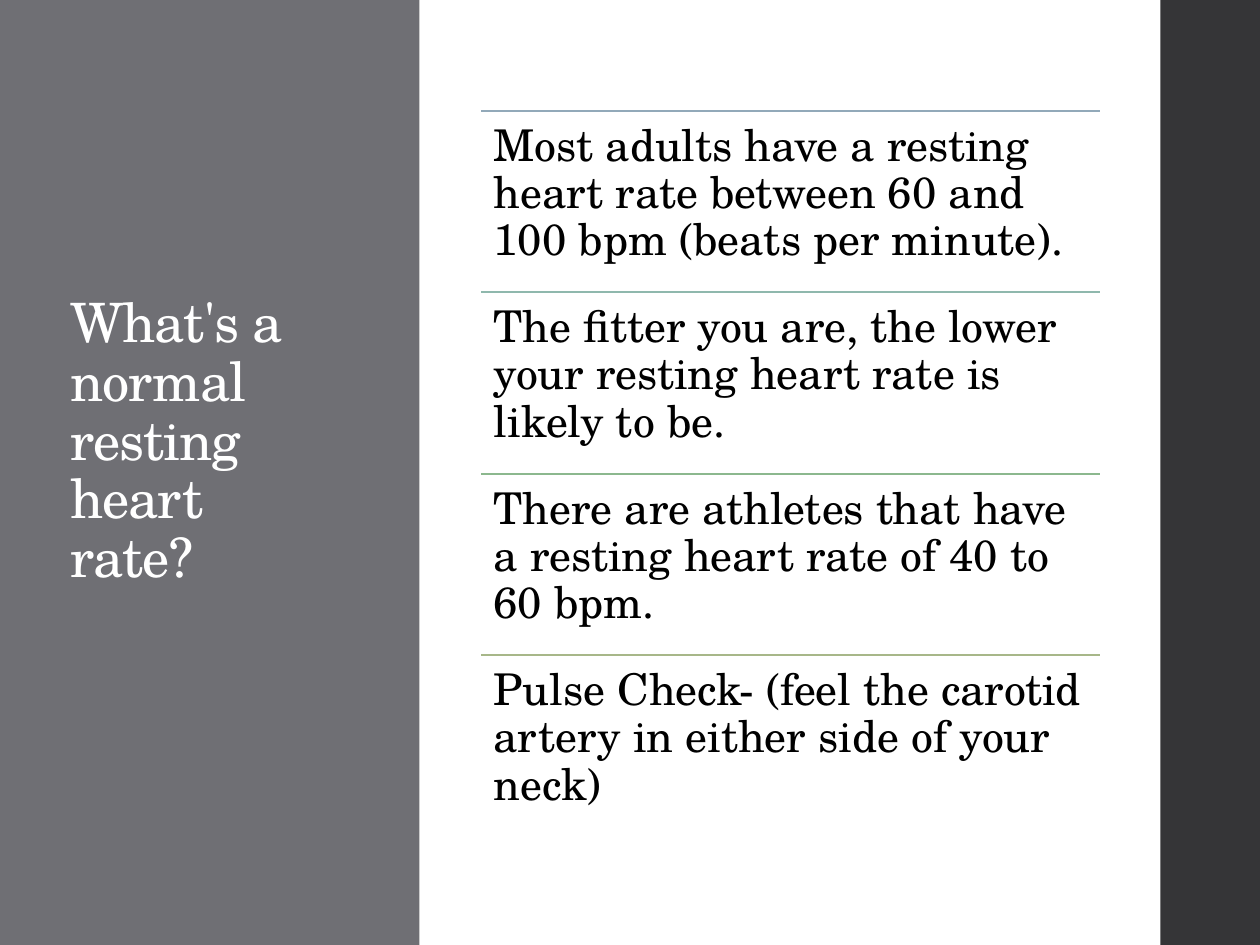
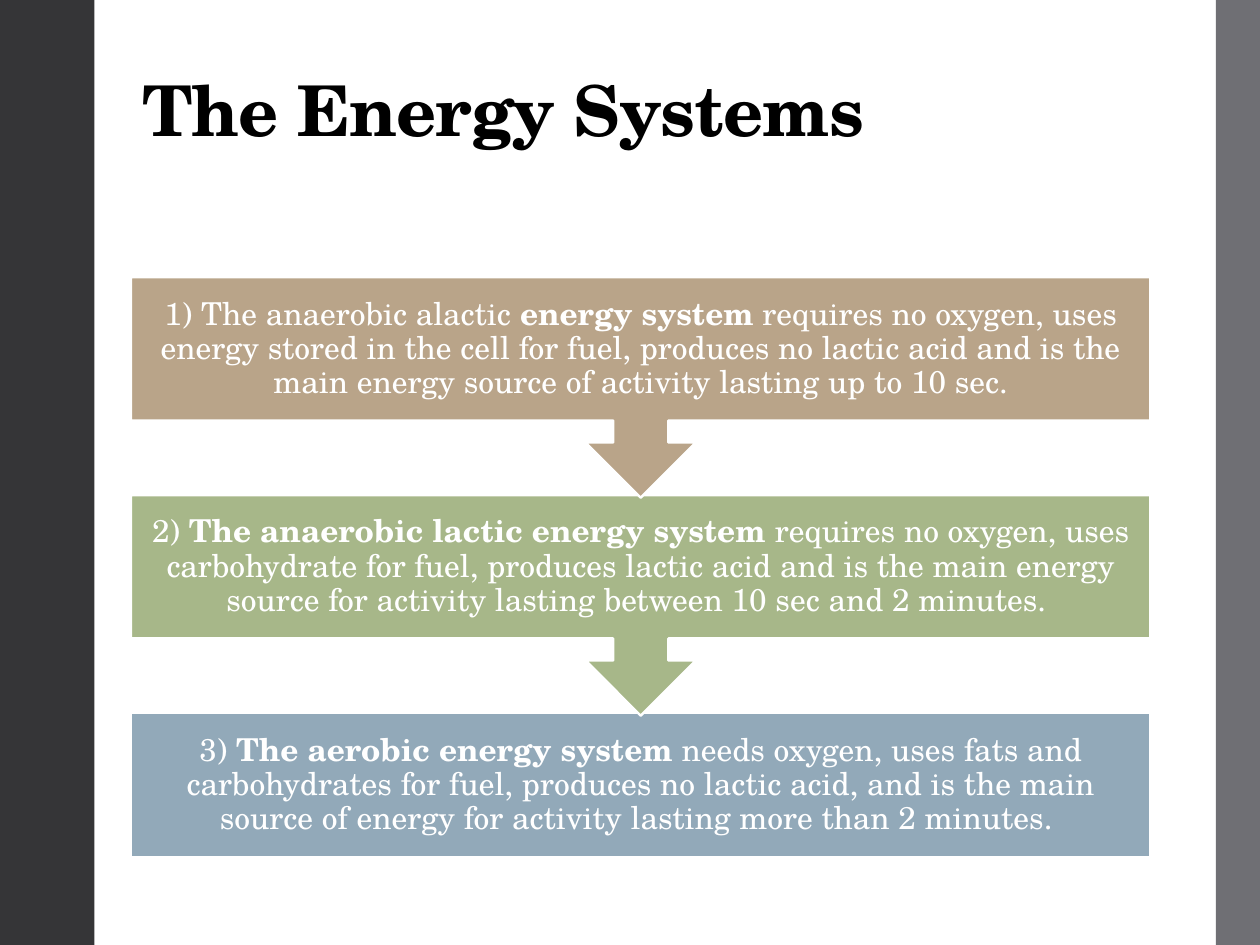
from dataclasses import dataclass

from lxml import etree
from pptx import Presentation
from pptx.dml.color import RGBColor
from pptx.enum.shapes import MSO_CONNECTOR, MSO_SHAPE
from pptx.enum.text import MSO_ANCHOR, PP_ALIGN
from pptx.oxml.ns import qn
from pptx.util import Inches, Pt

RECTANGLE = MSO_SHAPE.RECTANGLE
ARROW_BOX = MSO_SHAPE.DOWN_ARROW_CALLOUT
STRAIGHT = MSO_CONNECTOR.STRAIGHT
TOP, MIDDLE, BOTTOM = MSO_ANCHOR.TOP, MSO_ANCHOR.MIDDLE, MSO_ANCHOR.BOTTOM
LEFT, CENTER = PP_ALIGN.LEFT, PP_ALIGN.CENTER


@dataclass(frozen=True)
class Theme:
    font: str = "TeX Gyre Schola"
    dark: str = "353537"
    grey: str = "6F6F74"
    white: str = "FFFFFF"
    black: str = "000000"
    blue: str = "92A9B9"
    teal: str = "8FB8AD"
    green: str = "8CB88E"
    olive: str = "A7B789"
    tan: str = "B9A489"
    side_title_size: float = 31
    title_size: float = 40
    fact_size: float = 25
    step_size: float = 18
    rule_width: float = 1.1
    outline_width: float = 1.35
    line_spacing: float = 0.9
    title_tracking: int = -50  # hundredths of a point


class Deck:
    """Holds the theme and the slide being filled."""

    def __init__(self, theme):
        self.theme = theme
        self.prs = Presentation()
        self.prs.slide_width, self.prs.slide_height = Inches(10), Inches(7.5)
        self.slide = None

    def new_slide(self):
        self.slide = self.prs.slides.add_slide(self.prs.slide_layouts[6])

    def fill_frame(self, frame, runs, size, color, align=LEFT, anchor=TOP,
                   inset=0.1, tracking=None):
        """Fill a frame with one paragraph of (text, bold) runs."""
        frame.word_wrap = True
        frame.vertical_anchor = anchor
        frame.margin_left = frame.margin_right = Inches(inset)
        frame.margin_top = frame.margin_bottom = Inches(inset)
        paragraph = frame.paragraphs[0]
        paragraph.alignment = align
        paragraph.line_spacing = self.theme.line_spacing
        for text, bold in runs:
            run = paragraph.add_run()
            run.text = text
            run.font.name = self.theme.font
            run.font.size = Pt(size)
            run.font.bold = bold
            run.font.color.rgb = RGBColor.from_string(color)
            if tracking is not None:
                run._r.get_or_add_rPr().set("spc", str(tracking))

    def text(self, left, top, width, height, runs, size, color, **style):
        box = self.slide.shapes.add_textbox(
            Inches(left), Inches(top), Inches(width), Inches(height))
        self.fill_frame(box.text_frame, runs, size, color, **style)
        return box

    def title(self, left, top, width, height, text, size, color, bold, anchor):
        """Place a title that keeps one line's height free below it."""
        box = self.text(left, top, width, height, [(text, bold)], size, color,
                        anchor=anchor, tracking=self.theme.title_tracking)
        free_line = size * 1.2 * self.theme.line_spacing
        box.text_frame.margin_top = Inches(0.05)
        box.text_frame.margin_bottom = Inches(0.05) + Pt(free_line)

    def shape(self, kind, left, top, width, height, fill, outline=None):
        shape = self.slide.shapes.add_shape(
            kind, Inches(left), Inches(top), Inches(width), Inches(height))
        shape.shadow.inherit = False
        shape.fill.solid()
        shape.fill.fore_color.rgb = RGBColor.from_string(fill)
        if outline:
            shape.line.color.rgb = RGBColor.from_string(outline)
            shape.line.width = Pt(self.theme.outline_width)
        else:
            shape.line.fill.background()
        return shape

    def band(self, left, width, color):
        """Draw a vertical band over the full slide height."""
        self.shape(RECTANGLE, left, 0, width, 7.5, color)

    def rule(self, left, top, width, color):
        rule = self.slide.shapes.add_connector(
            STRAIGHT, Inches(left), Inches(top),
            Inches(left + width), Inches(top))
        rule.line.color.rgb = RGBColor.from_string(color)
        rule.line.width = Pt(self.theme.rule_width)
        etree.SubElement(rule._element.spPr, qn("a:effectLst"))

    def step(self, kind, left, top, width, height, fill, runs):
        box = self.shape(kind, left, top, width, height, fill, self.theme.white)
        self.fill_frame(box.text_frame, runs, self.theme.step_size,
                        self.theme.white, align=CENTER, anchor=MIDDLE,
                        inset=0.14)


def resting_heart_rate(deck):
    theme = deck.theme
    deck.new_slide()

    # Side bands and title
    deck.band(9.21, 0.79, theme.dark)
    deck.band(0, 3.33, theme.grey)
    deck.title(0.46, 0.91, 2.23, 5.67, "What's a normal resting heart rate?",
               theme.side_title_size, theme.white, False, MIDDLE)

    # Facts, each under its own rule
    facts = [
        (theme.blue, "Most adults have a resting heart rate between 60 and "
                     "100 bpm (beats per minute)."),
        (theme.teal, "The fitter you are, the lower your resting heart rate "
                     "is likely to be."),
        (theme.green, "There are athletes that have a resting heart rate of "
                      "40 to 60 bpm."),
        (theme.olive, "Pulse Check- (feel the carotid artery in either side "
                      "of your neck)"),
    ]
    left, first_top, width, pitch = 3.82, 0.88, 4.91, 1.44
    for row, (color, fact) in enumerate(facts):
        top = first_top + row * pitch
        deck.rule(left, top, width, color)
        deck.text(left, top, width, pitch, [(fact, False)],
                  theme.fact_size, theme.black)


def energy_systems(deck):
    theme = deck.theme
    deck.new_slide()

    # Title and side bands
    deck.title(1.03, 0.4, 8.09, 1.45, "The Energy Systems",
               theme.title_size, theme.black, True, BOTTOM)
    deck.band(0, 0.75, theme.dark)
    deck.band(9.65, 0.35, theme.grey)

    # Chain of systems, drawn from the last up so arrow tips lie on top
    systems = [
        (ARROW_BOX, 1.75, theme.tan, [
            ("1) The anaerobic alactic", False),
            (" energy system", True),
            (" requires no oxygen, uses energy stored in the cell for fuel, "
             "produces no lactic acid and is the main energy source of "
             "activity lasting up to 10 sec.", False)]),
        (ARROW_BOX, 1.75, theme.olive, [
            ("2) ", False),
            ("The anaerobic lactic energy system ", True),
            ("requires no oxygen, uses carbohydrate for fuel, produces lactic "
             "acid and is the main energy source for activity lasting between "
             "10 sec and 2 minutes. ", False)]),
        (RECTANGLE, 1.14, theme.blue, [
            ("3) ", False),
            ("The aerobic energy system", True),
            (" needs oxygen, uses fats and carbohydrates for fuel, produces "
             "no lactic acid, and is the main source of energy for activity "
             "lasting more than 2 minutes. ", False)]),
    ]
    first_top, pitch = 2.2, 1.73
    for row, (kind, height, fill, runs) in reversed(list(enumerate(systems))):
        deck.step(kind, 1.04, first_top + row * pitch, 8.09, height, fill, runs)


def main():
    deck = Deck(Theme())
    resting_heart_rate(deck)
    energy_systems(deck)
    deck.prs.save("out.pptx")


if __name__ == "__main__":
    main()
